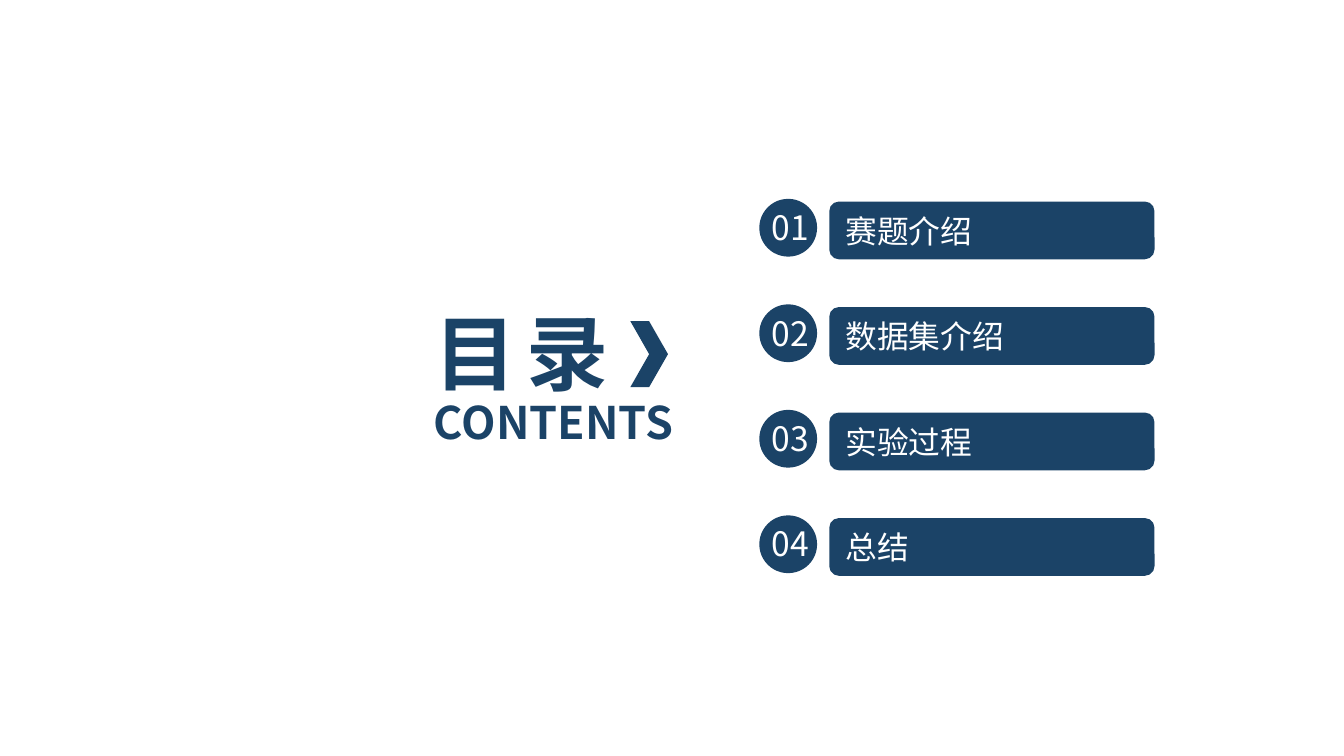
from pptx import Presentation
from pptx.dml.color import RGBColor
from pptx.enum.shapes import MSO_SHAPE
from pptx.enum.text import MSO_ANCHOR, PP_ALIGN
from pptx.util import Inches, Pt
from lxml import etree

BAR, DISC, CHEVRON = MSO_SHAPE.ROUNDED_RECTANGLE, MSO_SHAPE.OVAL, MSO_SHAPE.CHEVRON
LEFT, CENTER, MIDDLE = PP_ALIGN.LEFT, PP_ALIGN.CENTER, MSO_ANCHOR.MIDDLE
COLORS = {"navy": "1B4367", "white": "FFFFFF"}
FONT = "Noto Sans CJK SC"
NS = "http://schemas.openxmlformats.org/drawingml/2006/main"


def write(shape, text, size, color, align=LEFT, bold=False, track=0):
    """Set one line of text; track is letter spacing in points."""
    frame = shape.text_frame
    frame.text = text
    frame.word_wrap = True
    frame.vertical_anchor = MIDDLE
    line = frame.paragraphs[0]
    line.alignment = align
    run = line.runs[0]
    run.font.name = FONT
    run.font.size = Pt(size)
    run.font.bold = bold
    run.font.color.rgb = RGBColor.from_string(COLORS[color])
    props = run._r.get_or_add_rPr()
    etree.SubElement(props, f"{{{NS}}}ea", typeface=FONT)
    if track:
        props.set("spc", str(round(track * 100)))


def draw(parent, kind, left, top, width, height):
    """Add a plain navy shape, with lengths in inches."""
    shape = parent.add_shape(kind, *map(Inches, (left, top, width, height)))
    shape.shadow.inherit = False
    shape.fill.solid()
    shape.fill.fore_color.rgb = RGBColor.from_string(COLORS["navy"])
    shape.line.fill.background()
    return shape


deck = Presentation()
deck.slide_width = Inches(10)
deck.slide_height = deck.slide_width * 9 // 16
slide = deck.slides.add_slide(deck.slide_layouts[5])
shapes = slide.shapes

# Heading
title = shapes.title
title.left, title.top = Inches(3.13), Inches(2.2)
title.width, title.height = Inches(2.35), Inches(0.84)
write(title, "目 录", 44, "navy", bold=True, track=-2.2)
label = shapes.add_textbox(*map(Inches, (3.13, 2.89, 2.31, 0.5)))
write(label, "CONTENTS", 24, "navy", bold=True)
draw(shapes, CHEVRON, 4.69, 2.39, 0.28, 0.49)

# Numbered sections, one per row
first, pitch, size = 1.48, 3.14 / 4, 0.43
topics = ["赛题介绍", "数据集介绍", "实验过程", "总结"]
for row, topic in enumerate(topics):
    top = first + row * pitch
    bar = draw(shapes, BAR, 6.17, top + 0.02, 2.42, size)
    write(bar, topic, 17, "white")
    badge = shapes.add_group_shape()
    draw(badge.shapes, DISC, 5.65, top, size, size)
    number = badge.shapes.add_textbox(*map(Inches, (5.62, top + 0.01, 0.52, 0.4)))
    write(number, f"{row + 1:02}", 18, "white", CENTER)

deck.save("out.pptx")
